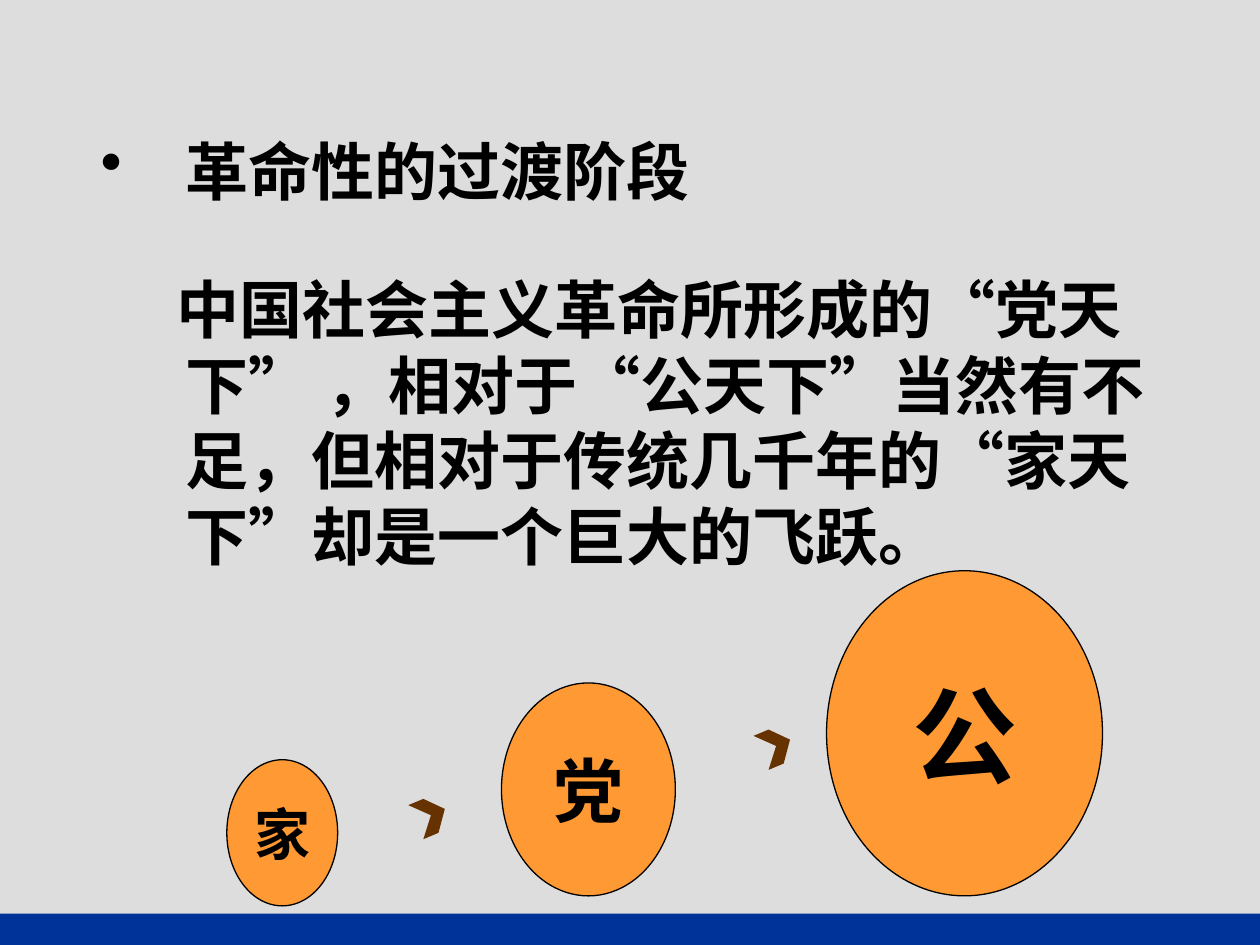
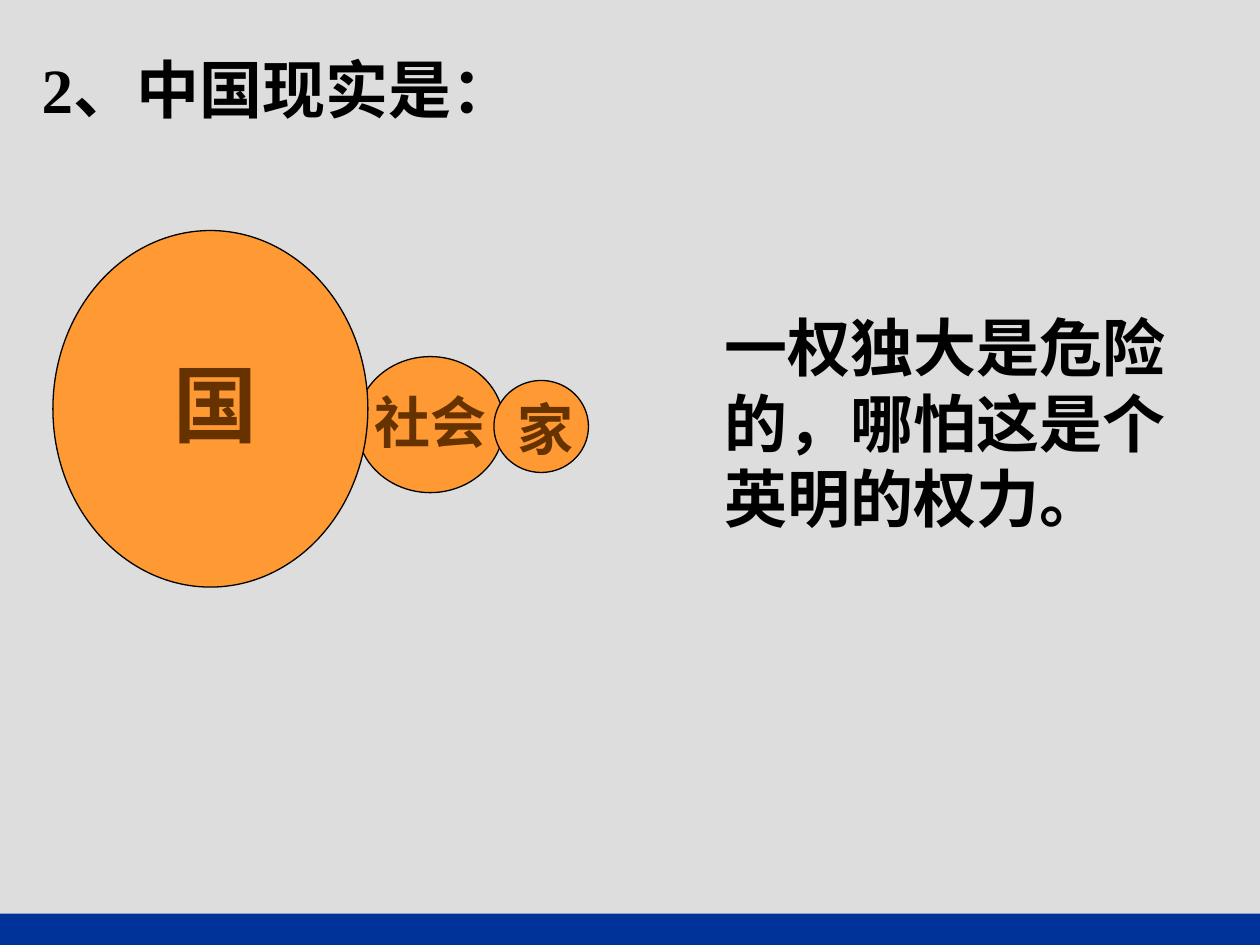
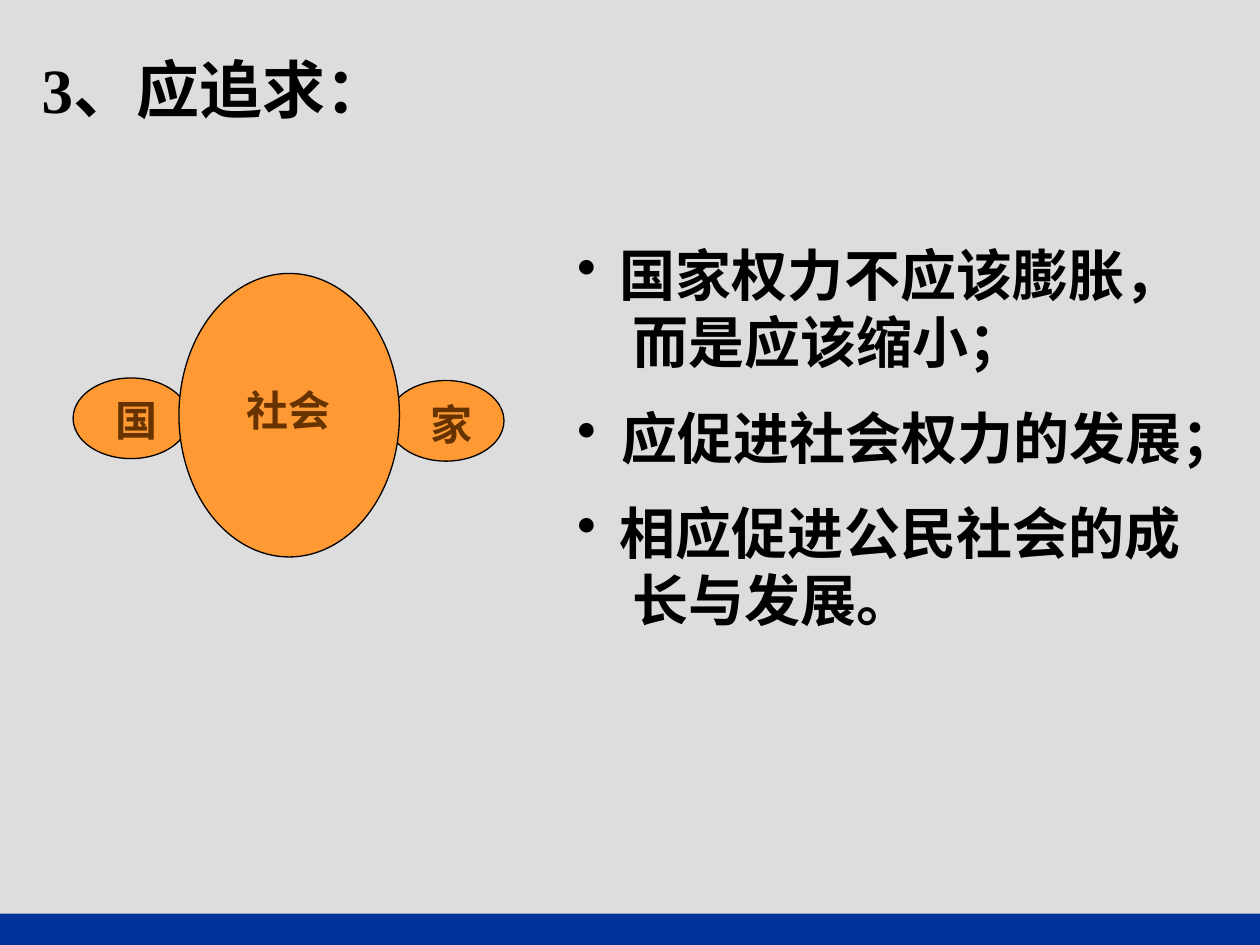
from dataclasses import dataclass
from typing import Any

import lxml.etree
import pptx
import pptx.dml.color
import pptx.enum.lang
import pptx.enum.shapes
import pptx.enum.text
import pptx.oxml.ns
import pptx.util

EMU_PER_PX = 9144  # 100 px to the inch
SLIDE_WIDTH, SLIDE_HEIGHT = 1000, 750
BAND_HEIGHT = 25
TITLE_ONLY, BLANK = 5, 6

COLORS = {
    "background": "DDDDDD",
    "band": "003399",
    "oval": "FF9933",
    "brown": "663300",
    "black": "000000",
}
SERIF, SANS, SYMBOL = "Times New Roman", "Arial", "DejaVu Sans"
BULLET = "•"
LEFT = pptx.enum.text.PP_ALIGN.LEFT
CENTER = pptx.enum.text.PP_ALIGN.CENTER
TOP = pptx.enum.text.MSO_ANCHOR.TOP
MIDDLE = pptx.enum.text.MSO_ANCHOR.MIDDLE

CHEVRON = [(0, 5), (12, 0), (29, 8), (24, 27), (12, 32), (18, 13)]


@dataclass(frozen=True)
class Box:
    left: int
    top: int
    width: int
    height: int


@dataclass(frozen=True)
class TextStyle:
    size: int = 36
    font: str = SERIF
    color: str = "black"
    align: Any = LEFT
    anchor: Any = TOP
    inset_x: int = 0
    inset_y: int = 0
    wrap: bool = True


@dataclass(frozen=True)
class Line:
    """One paragraph, with its margin and first-line indent in px."""

    text: str
    margin: int = 0
    indent: int = 0
    space_before: int = 0
    bullet: bool = False


@dataclass(frozen=True)
class Label:
    text: str
    box: Box
    size: int
    font: str = SERIF


TITLE_BOX = Box(33, 40, 833, 60)
BODY_STYLE = TextStyle()
INSET_BODY_STYLE = TextStyle(inset_x=10, inset_y=5)

TRANSITION_LINES = [
    Line("革命性的过渡阶段", 67, -67, bullet=True),
    Line(
        "中国社会主义革命所形成的“党天下” ，相对于“公天下”当然有不足，"
        "但相对于传统几千年的“家天下”却是一个巨大的飞跃。",
        67, -7, space_before=36,
    ),
]
GROWTH_OVALS = [
    Label("家", Box(180, 603, 88, 116), 32, SYMBOL),
    Label("党", Box(398, 542, 138, 169), 40, SYMBOL),
    Label("公", Box(656, 453, 219, 258), 60, SYMBOL),
]
CHEVRON_ORIGINS = [(324, 634), (598, 579)]

REALITY_OVALS = [
    Box(283, 283, 117, 108),
    Box(42, 183, 250, 283),
    Box(392, 302, 75, 73),
]
REALITY_LABELS = [
    Label("社会", Box(283, 303, 117, 64), 32),
    Label("国", Box(75, 275, 192, 90), 48, SANS),
    Label("家", Box(383, 308, 100, 64), 32),
]

GOAL_OVALS = [
    Box(58, 300, 92, 64),
    Box(308, 302, 92, 64),
    Box(142, 217, 175, 225),
]
GOAL_LABELS = [
    Label("家", Box(308, 311, 100, 50), 24),
    Label("社会", Box(133, 300, 192, 50), 24, SANS),
    Label("国", Box(58, 308, 100, 50), 24),
]
GOAL_LINES = [
    Line("国家权力不应该膨胀，\v 而是应该缩小；", 34, -34, bullet=True),
    Line(" 应促进社会权力的发展；", 25, -25, 16, True),
    Line("相应促进公民社会的成\v 长与发展。", 34, -34, 16, True),
]


def px(length: int) -> pptx.util.Emu:
    return pptx.util.Emu(length * EMU_PER_PX)


def rgb(name: str) -> pptx.dml.color.RGBColor:
    return pptx.dml.color.RGBColor.from_string(COLORS[name])


def set_attributes(target: Any, values: dict[str, Any]) -> None:
    for name, value in values.items():
        setattr(target, name, value)


def corners(box: Box) -> tuple[pptx.util.Emu, ...]:
    return px(box.left), px(box.top), px(box.width), px(box.height)


def add_bullet(paragraph: Any) -> None:
    properties = paragraph._p.get_or_add_pPr()
    qn = pptx.oxml.ns.qn
    color = lxml.etree.SubElement(properties, qn("a:buClr"))
    lxml.etree.SubElement(color, qn("a:srgbClr"), val=COLORS["black"])
    lxml.etree.SubElement(properties, qn("a:buChar"), char=BULLET)


def write_lines(shape: Any, lines: list[Line], style: TextStyle) -> None:
    frame = shape.text_frame
    set_attributes(frame, {
        "word_wrap": style.wrap,
        "auto_size": pptx.enum.text.MSO_AUTO_SIZE.NONE,
        "vertical_anchor": style.anchor,
        "margin_left": px(style.inset_x),
        "margin_right": px(style.inset_x),
        "margin_top": px(style.inset_y),
        "margin_bottom": px(style.inset_y),
    })
    font_values = {
        "name": style.font,
        "size": pptx.util.Pt(style.size),
        "bold": True,
        "language_id": pptx.enum.lang.MSO_LANGUAGE_ID.SIMPLIFIED_CHINESE,
    }
    for index, line in enumerate(lines):
        paragraph = frame.add_paragraph() if index else frame.paragraphs[0]
        paragraph.text = line.text
        set_attributes(paragraph, {
            "alignment": style.align,
            "space_before": pptx.util.Pt(line.space_before),
        })
        properties = paragraph._p.get_or_add_pPr()
        properties.set("marL", str(px(line.margin)))
        properties.set("indent", str(px(line.indent)))
        if line.bullet:
            add_bullet(paragraph)
        for run in paragraph.runs:
            set_attributes(run.font, font_values)
            run.font.color.rgb = rgb(style.color)


def add_filled_shape(shapes: Any, kind: Any, box: Box, color: str) -> Any:
    shape = shapes.add_shape(kind, *corners(box))
    shape.shadow.inherit = False
    shape.fill.solid()
    shape.fill.fore_color.rgb = rgb(color)
    shape.line.fill.background()
    return shape


def add_oval(shapes: Any, box: Box) -> Any:
    oval = add_filled_shape(shapes, pptx.enum.shapes.MSO_SHAPE.OVAL, box, "oval")
    oval.line.color.rgb = rgb("black")
    oval.line.width = pptx.util.Pt(0.75)
    return oval


def add_text(shapes: Any, box: Box, lines: list[Line], style: TextStyle) -> None:
    write_lines(shapes.add_textbox(*corners(box)), lines, style)


def add_power_diagram(shapes: Any, ovals: list[Box], labels: list[Label]) -> None:
    """Draw overlapping ovals, then their labels on top."""
    for box in ovals:
        add_oval(shapes, box)
    for label in labels:
        style = TextStyle(label.size, label.font, "brown", CENTER,
                          inset_x=10, inset_y=5)
        add_text(shapes, label.box, [Line(label.text)], style)


def add_chevron(shapes: Any, left: int, top: int) -> None:
    builder = shapes.build_freeform(*CHEVRON[0], scale=EMU_PER_PX)
    builder.add_line_segments(CHEVRON[1:], close=True)
    chevron = builder.convert_to_shape(px(left), px(top))
    chevron.shadow.inherit = False
    chevron.fill.solid()
    chevron.fill.fore_color.rgb = rgb("brown")
    chevron.line.fill.background()


def style_master(presentation: Any, slide: Any) -> None:
    """Give the master its background and move a band drawn on the slide to it."""
    master = presentation.slide_master
    master.background.fill.solid()
    master.background.fill.fore_color.rgb = rgb("background")
    band_box = Box(0, SLIDE_HEIGHT - BAND_HEIGHT, SLIDE_WIDTH, BAND_HEIGHT)
    band = add_filled_shape(
        slide.shapes, pptx.enum.shapes.MSO_SHAPE.RECTANGLE, band_box, "band")
    master.shapes.element.append(band.element)


def add_titled_slide(presentation: Any, title: str) -> Any:
    slide = presentation.slides.add_slide(presentation.slide_layouts[TITLE_ONLY])
    placeholder = slide.shapes.title
    names = ("left", "top", "width", "height")
    set_attributes(placeholder, dict(zip(names, corners(TITLE_BOX))))
    write_lines(placeholder, [Line(title)], BODY_STYLE)
    return slide


def build_transition_slide(presentation: Any) -> None:
    slide = presentation.slides.add_slide(presentation.slide_layouts[BLANK])
    style_master(presentation, slide)
    add_text(slide.shapes, Box(70, 100, 859, 500), TRANSITION_LINES,
             INSET_BODY_STYLE)
    for label in GROWTH_OVALS:
        style = TextStyle(label.size, label.font, "black", CENTER, MIDDLE,
                          10, 5, wrap=False)
        write_lines(add_oval(slide.shapes, label.box), [Line(label.text)], style)
    for left, top in CHEVRON_ORIGINS:
        add_chevron(slide.shapes, left, top)


def build_reality_slide(presentation: Any) -> None:
    slide = add_titled_slide(presentation, "2、中国现实是：")
    add_power_diagram(slide.shapes, REALITY_OVALS, REALITY_LABELS)
    add_text(slide.shapes, Box(575, 245, 367, 180),
             [Line("一权独大是危险的，哪怕这是个英明的权力。")], BODY_STYLE)


def build_goal_slide(presentation: Any) -> None:
    slide = add_titled_slide(presentation, "3、应追求：")
    add_text(slide.shapes, Box(458, 191, 492, 311), GOAL_LINES,
             TextStyle(size=32))
    group = slide.shapes.add_group_shape()
    add_power_diagram(group.shapes, GOAL_OVALS, GOAL_LABELS)


def main() -> None:
    presentation = pptx.Presentation()
    set_attributes(presentation, {
        "slide_width": px(SLIDE_WIDTH),
        "slide_height": px(SLIDE_HEIGHT),
    })
    build_transition_slide(presentation)
    build_reality_slide(presentation)
    build_goal_slide(presentation)
    presentation.save("out.pptx")


if __name__ == "__main__":
    main()
